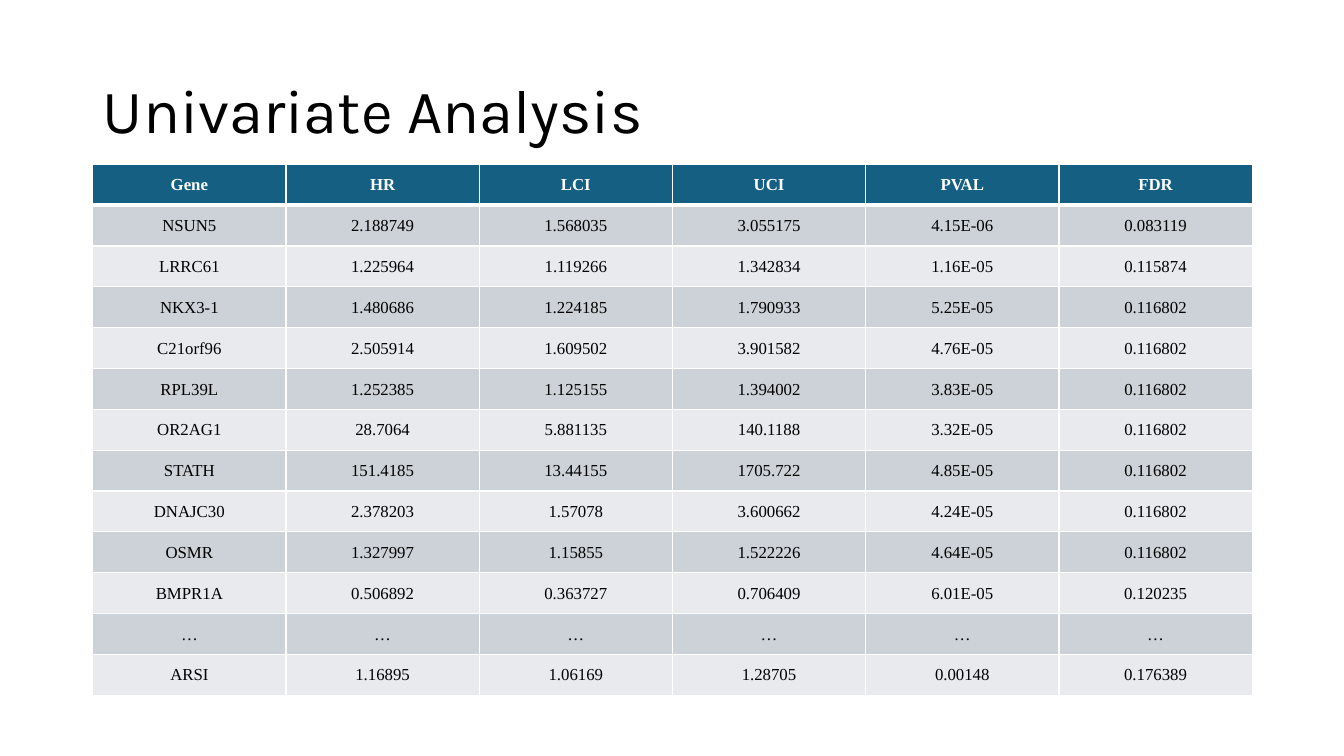
from dataclasses import astuple, dataclass

from lxml.etree import SubElement
from pptx import Presentation
from pptx.dml.color import RGBColor
from pptx.enum.text import MSO_ANCHOR, MSO_AUTO_SIZE, PP_ALIGN
from pptx.oxml.ns import qn
from pptx.slide import Slide
from pptx.table import _Cell
from pptx.util import Inches, Pt


@dataclass(frozen=True)
class Theme:
    title_font: str = "Karla"
    table_font: str = "Times New Roman"
    title_size: int = 44
    table_size: int = 12
    text: str = "000000"
    header_text: str = "FFFFFF"
    header_fill: str = "156082"
    odd_fill: str = "CCD2D8"
    even_fill: str = "E8EAED"
    border: str = "FFFFFF"
    thin: int = 1
    thick: int = 3


@dataclass(frozen=True)
class Grid:
    """Equal columns and rows, counted from the table's top left corner."""
    left: float = 0.92
    top: float = 1.63
    column: float = 11.5 / 6
    row: float = 5.27 / 13

    def box(self, column: float, row: float, columns: float, rows: float) -> tuple:
        return (Inches(self.left + column * self.column), Inches(self.top + row * self.row),
                Inches(columns * self.column), Inches(rows * self.row))


@dataclass(frozen=True)
class GeneResult:
    gene: str
    hazard_ratio: str
    lower_limit: str
    upper_limit: str
    p_value: str
    false_discovery_rate: str


THEME = Theme()
GRID = Grid()
HEADER = GeneResult("Gene", "HR", "LCI", "UCI", "PVAL", "FDR")
RESULTS = [
    GeneResult("NSUN5", "2.188749", "1.568035", "3.055175", "4.15E-06", "0.083119"),
    GeneResult("LRRC61", "1.225964", "1.119266", "1.342834", "1.16E-05", "0.115874"),
    GeneResult("NKX3-1", "1.480686", "1.224185", "1.790933", "5.25E-05", "0.116802"),
    GeneResult("C21orf96", "2.505914", "1.609502", "3.901582", "4.76E-05", "0.116802"),
    GeneResult("RPL39L", "1.252385", "1.125155", "1.394002", "3.83E-05", "0.116802"),
    GeneResult("OR2AG1", "28.7064", "5.881135", "140.1188", "3.32E-05", "0.116802"),
    GeneResult("STATH", "151.4185", "13.44155", "1705.722", "4.85E-05", "0.116802"),
    GeneResult("DNAJC30", "2.378203", "1.57078", "3.600662", "4.24E-05", "0.116802"),
    GeneResult("OSMR", "1.327997", "1.15855", "1.522226", "4.64E-05", "0.116802"),
    GeneResult("BMPR1A", "0.506892", "0.363727", "0.706409", "6.01E-05", "0.120235"),
    GeneResult(*["…"] * 6),
    GeneResult("ARSI", "1.16895", "1.06169", "1.28705", "0.00148", "0.176389"),
]


def set_title(slide: Slide, text: str) -> None:
    title = slide.shapes.title
    title.left, title.top, title.width, title.height = GRID.box(0, -3.03, 6, 3.58)
    frame = title.text_frame
    frame.text = text
    frame.word_wrap = True
    frame.auto_size = MSO_AUTO_SIZE.NONE
    frame.vertical_anchor = MSO_ANCHOR.MIDDLE
    para = frame.paragraphs[0]
    para.alignment = PP_ALIGN.LEFT
    para.line_spacing = 0.9
    para.font.name = THEME.title_font
    para.font.size = Pt(THEME.title_size)
    para.font.color.rgb = RGBColor.from_string(THEME.text)


def set_borders(cell: _Cell, top: int, bottom: int) -> None:
    """Draw all four sides; call before the fill, which must follow them in the XML."""
    properties = cell._tc.get_or_add_tcPr()
    widths = {"a:lnL": THEME.thin, "a:lnR": THEME.thin, "a:lnT": top, "a:lnB": bottom}
    for side, width in widths.items():
        line = SubElement(properties, qn(side), w=str(Pt(width)))
        fill = SubElement(line, qn("a:solidFill"))
        SubElement(fill, qn("a:srgbClr"), val=THEME.border)


def format_cell(cell: _Cell, text: str, row: int) -> None:
    is_header = row == 0
    set_borders(cell,
                top=THEME.thick if row == 1 else THEME.thin,
                bottom=THEME.thick if is_header else THEME.thin)
    band = THEME.odd_fill if row % 2 else THEME.even_fill
    cell.fill.solid()
    cell.fill.fore_color.rgb = RGBColor.from_string(THEME.header_fill if is_header else band)
    cell.margin_left = cell.margin_right = cell.margin_top = Inches(0.01)
    cell.margin_bottom = 0
    cell.vertical_anchor = MSO_ANCHOR.MIDDLE
    cell.text = text
    para = cell.text_frame.paragraphs[0]
    para.alignment = PP_ALIGN.CENTER
    para.font.name = THEME.table_font
    para.font.size = Pt(THEME.table_size)
    para.font.bold = is_header
    para.font.color.rgb = RGBColor.from_string(THEME.header_text if is_header else THEME.text)


def add_results_table(slide: Slide, records: list[GeneResult]) -> None:
    rows, columns = len(records), len(astuple(records[0]))
    table = slide.shapes.add_table(rows, columns, *GRID.box(0, 0, columns, rows)).table
    for row, record in enumerate(records):
        for column, text in enumerate(astuple(record)):
            format_cell(table.cell(row, column), text, row)


def main() -> None:
    deck = Presentation()
    deck.slide_width, deck.slide_height = Inches(13.33), Inches(7.5)
    page = deck.slides.add_slide(deck.slide_layouts.get_by_name("Title Only"))
    set_title(page, "Univariate Analysis")
    add_results_table(page, [HEADER, *RESULTS])
    deck.save("out.pptx")


if __name__ == "__main__":
    main()
